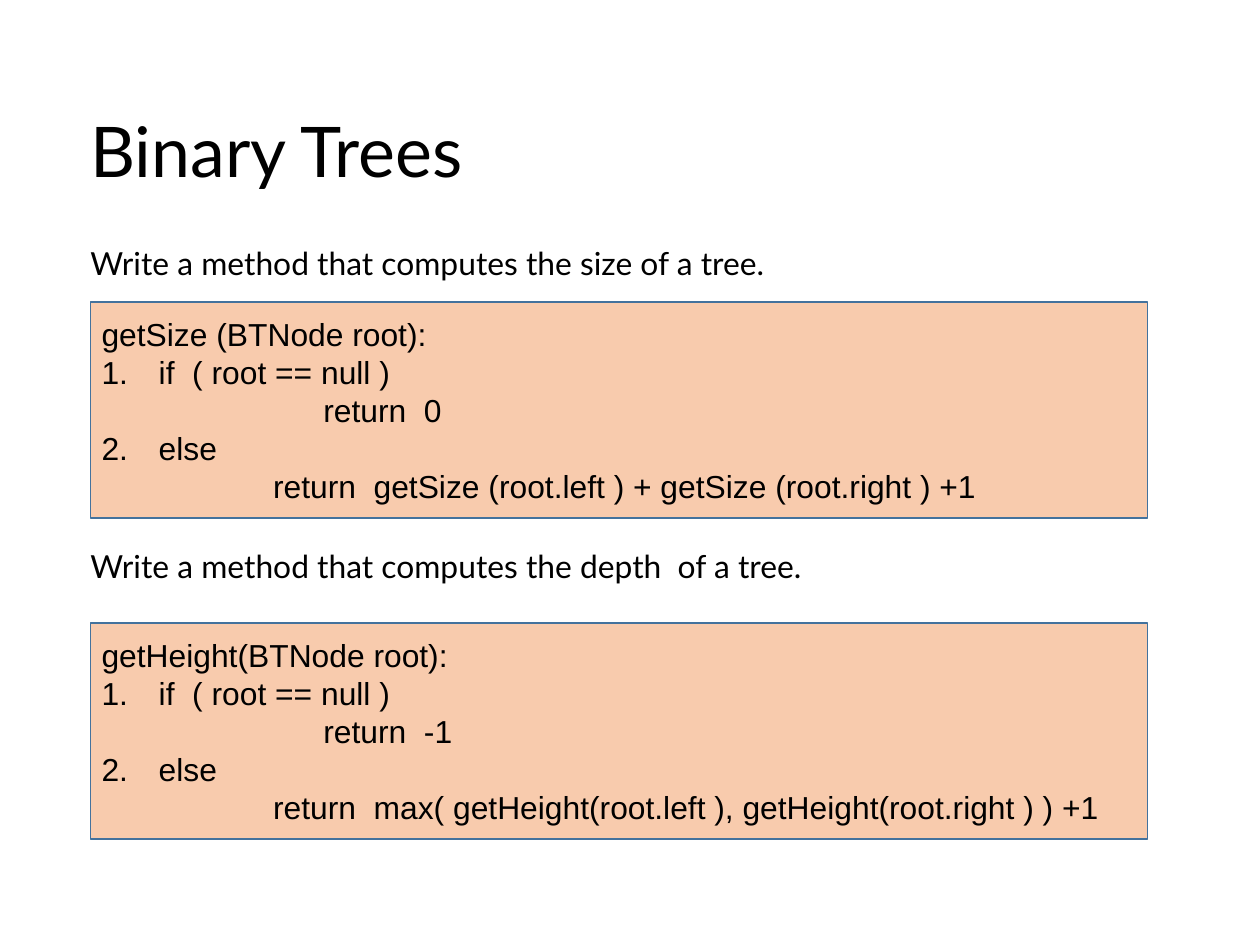
from dataclasses import dataclass

from lxml import etree
from pptx import Presentation
from pptx.dml.color import RGBColor
from pptx.enum.shapes import MSO_SHAPE
from pptx.enum.text import MSO_ANCHOR, MSO_AUTO_SIZE, PP_ALIGN
from pptx.oxml.ns import qn
from pptx.util import Inches, Pt

RECT = MSO_SHAPE.RECTANGLE
LEFT = PP_ALIGN.LEFT
TOP, MIDDLE = MSO_ANCHOR.TOP, MSO_ANCHOR.MIDDLE
FIXED = MSO_AUTO_SIZE.NONE


@dataclass(frozen=True)
class Theme:
    ink: RGBColor = RGBColor(0, 0, 0)
    fill: RGBColor = RGBColor(0xF8, 0xCB, 0xAD)
    line: RGBColor = RGBColor(0x43, 0x72, 0x9D)
    prose: str = "Lato"
    code: str = "Arial"
    title: int = 44
    text: int = 20


THEME = Theme()
CM = 1 / 2.54  # inches in a centimetre; the slide is 28 by 21 cm
EDGE, WIDTH = 0.79, 9.25
STEP, THEN = 0.5, 1.94  # code indents, inches
TASK_GAP = 167  # points between the two tasks

TASKS = [
    "Write a method that computes the size of a tree.",
    "Write a method that computes the depth  of a tree.",
]
METHODS = [
    (5.45, "getHeight(BTNode root):", "return  -1",
     "return  max( getHeight(root.left ), getHeight(root.right ) ) +1"),
    (2.64, "getSize (BTNode root):", "return  0",
     "return  getSize (root.left ) + getSize (root.right ) +1"),
]


def place(shape, left, top, width, height):
    shape.left, shape.top = Inches(left), Inches(top)
    shape.width, shape.height = Inches(width), Inches(height)


def style(para, font, size):
    para.alignment = LEFT
    para.space_before = Pt(0)
    for run in para.runs:
        run.font.name = font
        run.font.size = Pt(size)
        run.font.color.rgb = THEME.ink


def indent(para, left, number=None):
    """Set the left margin, with a hanging number if one is given."""
    props = para._p.get_or_add_pPr()
    props.set("marL", str(Inches(left)))
    props.set("indent", str(-Inches(left) if number else 0))
    props.set("defTabSz", str(Inches(STEP)))
    if number:
        mark = etree.SubElement(props, qn("a:buAutoNum"), type="arabicPeriod")
        mark.set("startAt", str(number))
    else:
        etree.SubElement(props, qn("a:buNone"))


def fill_holder(holder, box, lines, size, anchor):
    place(holder, *box)
    frame = holder.text_frame
    frame.text = "\n".join(lines)
    frame.auto_size = FIXED
    frame.word_wrap = True
    frame.vertical_anchor = anchor
    frame.margin_left = frame.margin_right = 0
    frame.margin_top = frame.margin_bottom = 0
    last = len(lines) - 1
    for i, para in enumerate(frame.paragraphs):
        style(para, THEME.prose, size)
        para.space_after = Pt(TASK_GAP if i < last else 0)
        indent(para, 0)


def add_method(slide, top, head, base, rest):
    box = slide.shapes.add_shape(
        RECT, Inches(EDGE), Inches(top), Inches(WIDTH), Inches(1.89))
    box.shadow.inherit = False
    box.fill.solid()
    box.fill.fore_color.rgb = THEME.fill
    box.line.color.rgb = THEME.line
    box.line.width = Pt(1)
    lines = [
        (head, 0, None),
        ("if  ( root == null )", STEP, 1),
        (base, THEN, None),
        (f"else\v\t\t{rest}", STEP, 2),
    ]
    frame = box.text_frame
    frame.text = "\n".join(text for text, _, _ in lines)
    frame.word_wrap = True
    frame.vertical_anchor = MIDDLE
    for para, (_, left, number) in zip(frame.paragraphs, lines):
        style(para, THEME.code, THEME.text)
        indent(para, left, number)


def main():
    deck = Presentation()
    deck.slide_width, deck.slide_height = Inches(28 * CM), Inches(21 * CM)
    slide = deck.slides.add_slide(deck.slide_layouts[1])
    title, body = slide.placeholders
    fill_holder(title, (EDGE, 0.75, WIDTH, 1.12), ["Binary Trees"],
                THEME.title, MIDDLE)
    fill_holder(body, (EDGE, 2.13, 9.68, 5.21), TASKS, THEME.text, TOP)
    for method in METHODS:
        add_method(slide, *method)
    deck.save("out.pptx")


if __name__ == "__main__":
    main()
